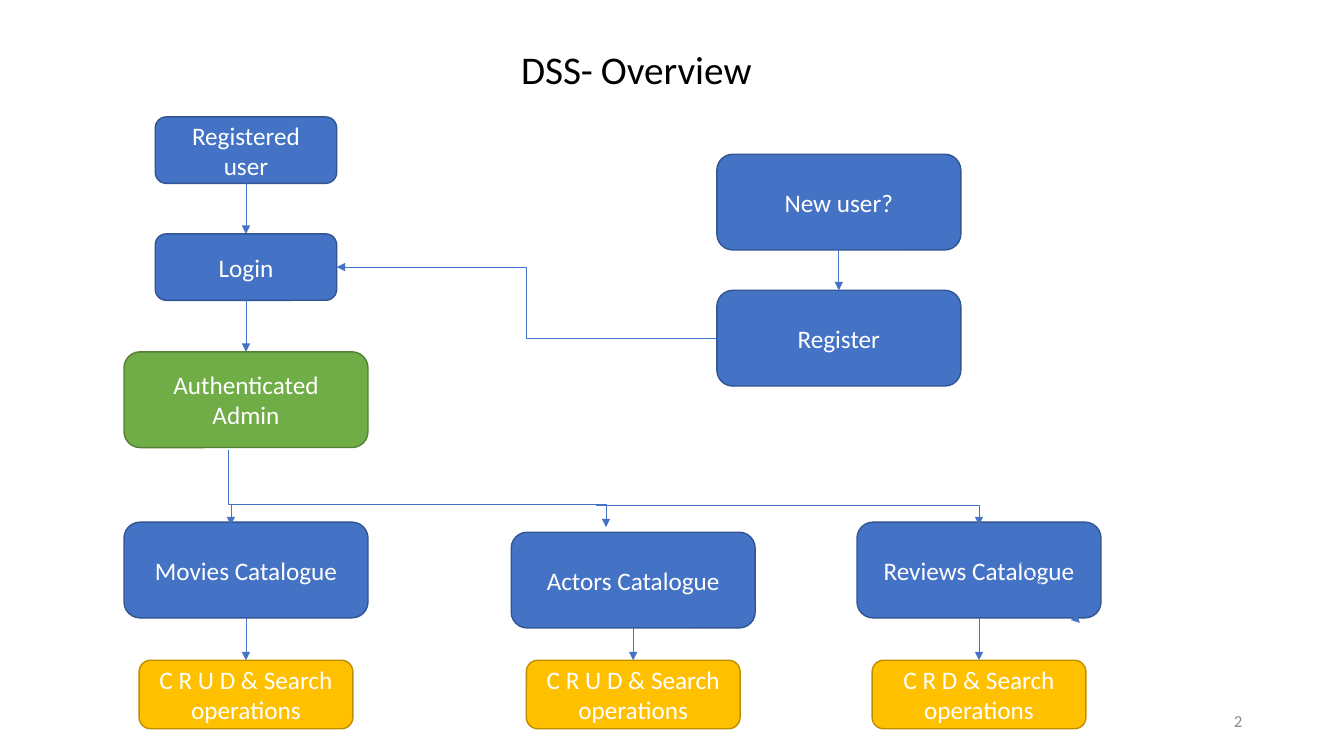
"""Build the DSS overview flowchart slide."""
import pptx
import pptx.dml.color
import pptx.enum.shapes
import pptx.enum.text
import pptx.oxml.ns
import pptx.util
from lxml import etree

Inches = pptx.util.Inches
Pt = pptx.util.Pt
RGBColor = pptx.dml.color.RGBColor
qn = pptx.oxml.ns.qn
Connector = pptx.enum.shapes.MSO_CONNECTOR
Align = pptx.enum.text.PP_ALIGN
Anchor = pptx.enum.text.MSO_ANCHOR

FONT = "Calibri"
BLACK = RGBColor(0x00, 0x00, 0x00)
WHITE = RGBColor(0xFF, 0xFF, 0xFF)
GRAY = RGBColor(0x8C, 0x8C, 0x8C)
BLUE = RGBColor(0x44, 0x72, 0xC4)
DARK_BLUE = RGBColor(0x32, 0x54, 0x91)
GREEN = RGBColor(0x70, 0xAD, 0x47)
DARK_GREEN = RGBColor(0x53, 0x80, 0x35)
GOLD = RGBColor(0xFF, 0xC0, 0x00)
DARK_GOLD = RGBColor(0xBD, 0x8E, 0x00)

TITLE = [("DSS-", 28), (" ", 25), ("Overview", 28)]
PAGE_NUMBER = [("2", 12)]

LARGE, MEDIUM, SMALL = (2.42, 0.95), (2.12, 0.68), (1.8, 0.66)
BLUE_STYLE = (BLUE, DARK_BLUE)
GREEN_STYLE = (GREEN, DARK_GREEN)
GOLD_STYLE = (GOLD, DARK_GOLD)
LOGIN_X, REGISTER_X, ACTORS_X, REVIEWS_X = 2.44, 8.32, 6.28, 9.71

BOXES = {
    "user": ("Registered user", LOGIN_X, 1.16, SMALL, BLUE_STYLE),
    "login": ("Login", LOGIN_X, 2.32, SMALL, BLUE_STYLE),
    "admin": ("Authenticated Admin", LOGIN_X, 3.49, LARGE, GREEN_STYLE),
    "new user": ("New user?", REGISTER_X, 1.53, LARGE, BLUE_STYLE),
    "register": ("Register", REGISTER_X, 2.88, LARGE, BLUE_STYLE),
    "movies": ("Movies Catalogue", LOGIN_X, 5.18, LARGE, BLUE_STYLE),
    "actors": ("Actors Catalogue", ACTORS_X, 5.28, LARGE, BLUE_STYLE),
    "reviews": ("Reviews Catalogue", REVIEWS_X, 5.18, LARGE, BLUE_STYLE),
    "movies actions": ("C R U D & Search operations", LOGIN_X, 6.55, MEDIUM, GOLD_STYLE),
    "actors actions": ("C R U D & Search operations", ACTORS_X, 6.55, MEDIUM, GOLD_STYLE),
    "reviews actions": ("C R D & Search operations", REVIEWS_X, 6.55, MEDIUM, GOLD_STYLE),
}
DOWN_ARROWS = [
    ("user", "login"), ("login", "admin"), ("new user", "register"),
    ("movies", "movies actions"), ("actors", "actors actions"),
    ("reviews", "reviews actions"),
]
FREE_ARROWS = [((2.29, 5.01), (2.29, 5.21)), ((9.71, 5.18), (10.71, 6.18))]
TRUNK_FRAME = ((3.75, 2.97), (4.52, 6.72))
REVIEWS_BRANCH = ((5.91, 5.01), (9.71, 5.21))


def write(shape, runs, color, alignment, anchor):
    frame = shape.text_frame
    frame.word_wrap = True
    frame.vertical_anchor = anchor
    paragraph = frame.paragraphs[0]
    paragraph.alignment = alignment
    for text, size in runs:
        run = paragraph.add_run()
        run.text = text
        run.font.name = FONT
        run.font.size = Pt(size)
        run.font.color.rgb = color


def add_text(slide, position, size, runs, color, alignment, anchor):
    box = slide.shapes.add_textbox(*map(Inches, position + size))
    write(box, runs, color, alignment, anchor)


def add_box(slide, text, center, top, size, style):
    width, height = size
    shape = slide.shapes.add_shape(
        pptx.enum.shapes.MSO_SHAPE.ROUNDED_RECTANGLE,
        Inches(center - width / 2), Inches(top), Inches(width), Inches(height))
    shape.shadow.inherit = False
    fill, outline = style
    shape.fill.solid()
    shape.fill.fore_color.rgb = fill
    shape.line.color.rgb = outline
    shape.line.width = Pt(1)
    write(shape, [(text, 18)], WHITE, Align.CENTER, Anchor.MIDDLE)
    return shape


def add_arrow(slide, kind, begin=(0, 0), end=(0, 0)):
    arrow = slide.shapes.add_connector(kind, *map(Inches, begin + end))
    arrow.line.color.rgb = BLUE
    arrow.line.width = Pt(0.5)
    properties = arrow._element.spPr
    etree.SubElement(properties.find(qn("a:ln")), qn("a:tailEnd"), type="triangle")
    etree.SubElement(properties, qn("a:effectLst"))
    return arrow


def join(slide, kind, source, source_side, target, target_side):
    arrow = add_arrow(slide, kind)
    arrow.begin_connect(source, source_side)
    arrow.end_connect(target, target_side)


def add_catalogue_branches(slide):
    trunk = add_arrow(slide, Connector.ELBOW, *TRUNK_FRAME)._element.spPr
    transform = trunk.find(qn("a:xfrm"))
    transform.set("rot", str(270 * 60000))
    transform.set("flipH", "1")
    adjustments = trunk.find(qn("a:prstGeom")).find(qn("a:avLst"))
    etree.SubElement(adjustments, qn("a:gd"), name="adj1", fmla="val 70900")

    branch = add_arrow(slide, Connector.ELBOW, *REVIEWS_BRANCH)._element.spPr
    branch.find(qn("a:prstGeom")).set("prst", "bentConnector2")


def main():
    presentation = pptx.Presentation()
    presentation.slide_width = Inches(13.33)
    presentation.slide_height = Inches(7.5)
    slide = presentation.slides.add_slide(presentation.slide_layouts[6])

    add_text(slide, (9.42, 6.95), (3, 0.4), PAGE_NUMBER, GRAY, Align.RIGHT, Anchor.MIDDLE)
    add_text(slide, (5.07, 0.4), (6.21, 0.57), TITLE, BLACK, Align.LEFT, Anchor.TOP)

    boxes = {name: add_box(slide, *box) for name, box in BOXES.items()}
    for source, target in DOWN_ARROWS:
        join(slide, Connector.STRAIGHT, boxes[source], 2, boxes[target], 0)
    join(slide, Connector.ELBOW, boxes["register"], 1, boxes["login"], 3)
    for begin, end in FREE_ARROWS:
        add_arrow(slide, Connector.STRAIGHT, begin, end)
    add_catalogue_branches(slide)

    presentation.save("out.pptx")


if __name__ == "__main__":
    main()
